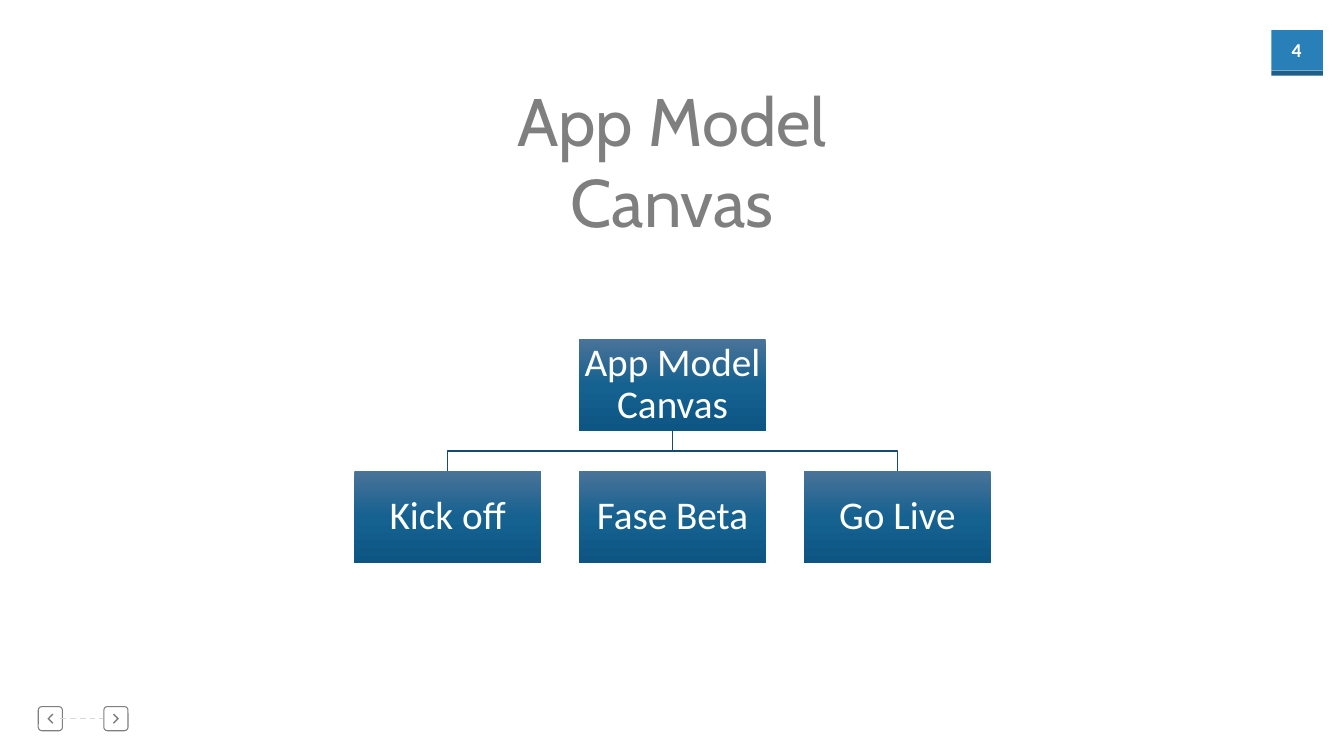
from copy import deepcopy

from pptx import Presentation
from pptx.dml.color import RGBColor
from pptx.enum.dml import MSO_LINE
from pptx.enum.shapes import MSO_CONNECTOR, MSO_SHAPE
from pptx.enum.text import MSO_ANCHOR, PP_ALIGN
from pptx.oxml import parse_xml
from pptx.oxml.ns import nsdecls, qn
from pptx.util import Inches, Pt

RECT, ROUNDED = MSO_SHAPE.RECTANGLE, MSO_SHAPE.ROUNDED_RECTANGLE
STRAIGHT, DASH = MSO_CONNECTOR.STRAIGHT, MSO_LINE.DASH
TOP, MIDDLE, CENTER = MSO_ANCHOR.TOP, MSO_ANCHOR.MIDDLE, PP_ALIGN.CENTER

# Content
TITLE = "App Model Canvas"
PAGE = "4"
ROOT = "App Model Canvas"
PHASES = ["Kick off", "Fase Beta", "Go Live"]

COLORS = {"gray": "7F7F7F", "white": "FFFFFF", "tab": "2980B9", "tab_edge": "1E608A",
          "branch": "164C6E", "dash": "D8D8D8"}
GRADIENT = [(0, "4A7398"), (0.5, "156190"), (1, "0D5684")]

# Layout, in inches
CENTER_X = 6.67
BOX_W, BOX_H = 1.85, 0.92
STEP = 2.23
ROOT_Y, PHASE_Y = 3.36, 4.67
ROOT_BOTTOM = ROOT_Y + BOX_H
BRANCH_Y = (ROOT_BOTTOM + PHASE_Y) / 2
NAV_Y, NAV_SIZE = 7.13, 0.24
NAV_BUTTONS = [(0.5, 1), (1.15, -1)]  # center x, direction of the arrow's open side
CHEVRON = [(0.03, -0.04), (-0.01, 0), (0.03, 0.04), (0.02, 0.05), (-0.03, 0), (0.02, -0.05)]

prs = Presentation()
prs.slide_width, prs.slide_height = Inches(13.33), Inches(7.5)
slide = prs.slides.add_slide(prs.slide_layouts[6])
shapes = slide.shapes


def rgb(name):
    return RGBColor.from_string(COLORS[name])


def write(s, text, size, font="Calibri", color="white", bold=False,
          anchor=TOP, margins=(0.1, 0.05), spacing=None):
    tf = s.text_frame
    tf.word_wrap = True
    tf.vertical_anchor = anchor
    tf.margin_left = tf.margin_right = Inches(margins[0])
    tf.margin_top = tf.margin_bottom = Inches(margins[1])
    p = tf.paragraphs[0]
    p.alignment = CENTER
    if spacing:
        p.line_spacing = spacing
    r = p.add_run()
    r.text = text
    r.font.size, r.font.name, r.font.bold = Pt(size), font, bold
    r.font.color.rgb = rgb(color)


def add_text(x, y, w, h, text, size, **fmt):
    write(shapes.add_textbox(Inches(x), Inches(y), Inches(w), Inches(h)), text, size, **fmt)


def style(s, fill=None, line=None, width=1):
    s.shadow.inherit = False
    if fill:
        s.fill.solid()
        s.fill.fore_color.rgb = rgb(fill)
    else:
        s.fill.background()
    if line:
        s.line.color.rgb = rgb(line)
        s.line.width = Pt(width)
    else:
        s.line.fill.background()


def add_box(kind, x, y, w, h, **look):
    s = shapes.add_shape(kind, Inches(x), Inches(y), Inches(w), Inches(h))
    style(s, **look)
    return s


def add_outline(points, close, **look):
    start, *rest = [(Inches(x), Inches(y)) for x, y in points]
    builder = shapes.build_freeform(*start)
    builder.add_line_segments(rest, close=close)
    style(builder.convert_to_shape(), **look)


def add_node(text, center_x, y):
    s = add_box(RECT, center_x - BOX_W / 2, y, BOX_W, BOX_H)
    s.fill.gradient()
    stops = s._element.spPr.find(".//" + qn("a:gsLst"))
    stops.insert(1, deepcopy(stops[0]))
    for stop, (position, color) in zip(s.fill.gradient_stops, GRADIENT):
        stop.position = position
        stop.color.rgb = RGBColor.from_string(color)
    s.fill.gradient_angle = 270
    write(s, text, 28, anchor=MIDDLE, margins=(0.02, 0.02), spacing=0.9)


# Page number tab
add_box(RECT, 12.61, 0.3, 0.51, 0.4, fill="tab")
add_box(RECT, 12.61, 0.7, 0.51, 0.05, fill="tab_edge")
add_text(12.64, 0.33, 0.44, 0.34, PAGE, 14, bold=True)

# Navigation buttons joined by a dashed line
for x, side in NAV_BUTTONS:
    add_outline([(x + side * dx, NAV_Y + dy) for dx, dy in CHEVRON], True, fill="gray")
    button = add_box(ROUNDED, x - NAV_SIZE / 2, NAV_Y - NAV_SIZE / 2, NAV_SIZE, NAV_SIZE,
                     line="gray", width=0.75)
    button.adjustments[0] = 0.15
link = shapes.add_connector(STRAIGHT, Inches(0.6), Inches(NAV_Y), Inches(1.02), Inches(NAV_Y))
link.line.color.rgb = rgb("dash")
link.line.width = Pt(1)
link.line.dash_style = DASH
link._element.spPr.append(parse_xml(f"<a:effectLst {nsdecls('a')}/>"))

# Title
add_text(4.6, 0.74, 4.13, 0.91, TITLE, 48, font="Cabin", color="gray")

# Branches to the outer phases, then the boxes
for end_x in (CENTER_X - STEP, CENTER_X + STEP):
    add_outline([(CENTER_X, ROOT_BOTTOM), (CENTER_X, BRANCH_Y), (end_x, BRANCH_Y),
                 (end_x, PHASE_Y)], False, line="branch")
add_node(ROOT, CENTER_X, ROOT_Y)
for i, phase in enumerate(PHASES):
    add_node(phase, CENTER_X + (i - 1) * STEP, PHASE_Y)

prs.save("out.pptx")
